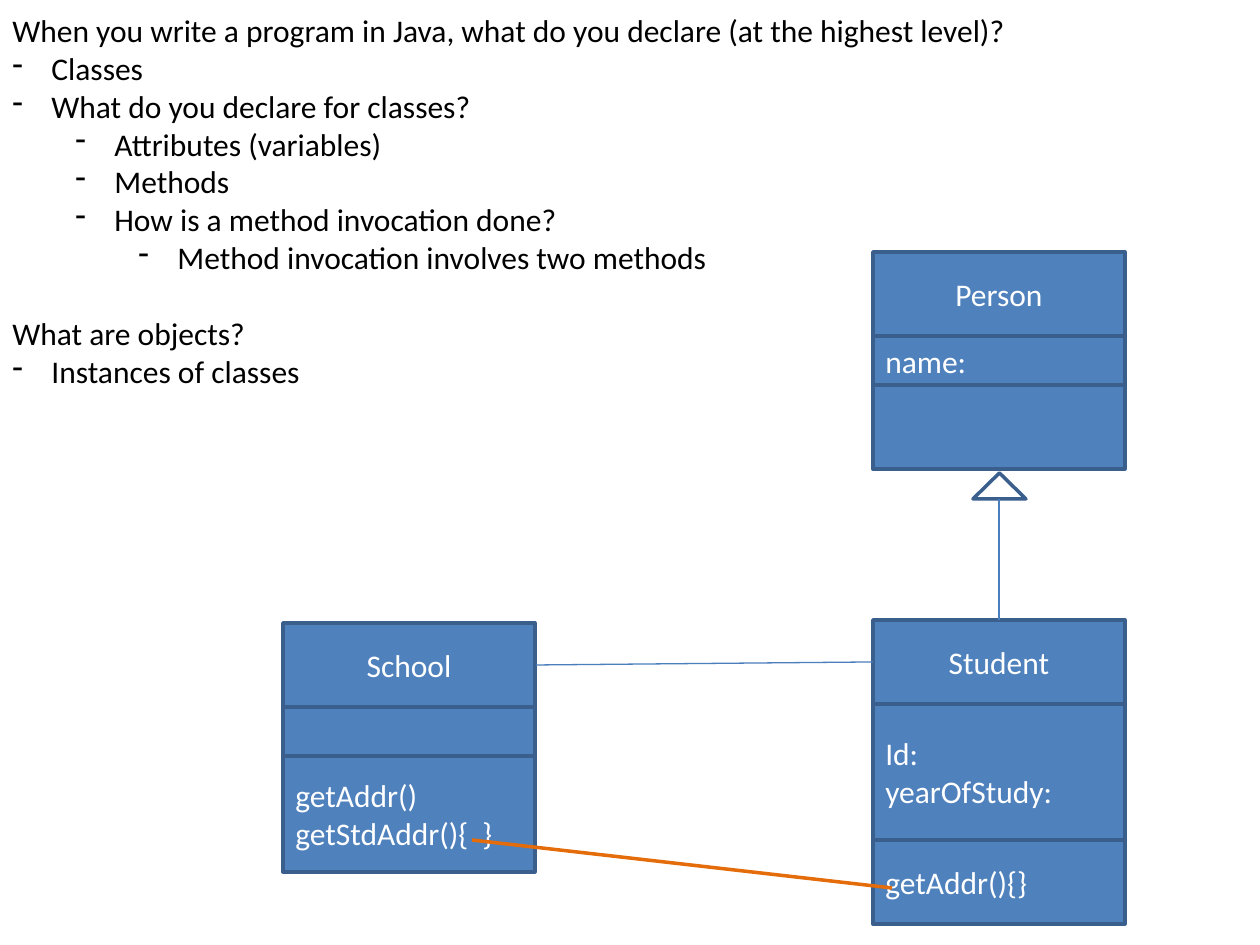
from pptx import Presentation
from pptx import util as u
from pptx.dml.color import RGBColor
from pptx.enum import shapes, text
from lxml import etree

PX = u.Inches(1) // 126
NS = "{http://schemas.openxmlformats.org/drawingml/2006/main}"
COLORS = {"ink": "000000", "paper": "FFFFFF", "box": "4F81BD",
          "border": "3A5F8C", "link": "4B7EBC", "call": "E46C0A"}


def color(name):
    return RGBColor.from_string(COLORS[name])


def write(paragraph, words, name):
    run = paragraph.add_run()
    run.text = words
    for key, value in {"size": u.Pt(18), "name": "Calibri"}.items():
        setattr(run.font, key, value)
    run.font.color.rgb = color(name)


deck = Presentation()
deck.slide_width, deck.slide_height = u.Inches(10), u.Inches(7.5)
slide = deck.slides.add_slide(deck.slide_layouts[6])

outline = [
    (None, "When you write a program in Java, what do you declare (at the highest level)?"),
    (0, "Classes"),
    (0, "What do you declare for classes?"),
    (1, "Attributes (variables)"),
    (1, "Methods"),
    (1, "How is a method invocation done? "),
    (2, "Method invocation involves two methods"),
    (None, "What are objects?"),
    (0, "Instances of classes"),
]
notes = slide.shapes.add_textbox(0, 5 * PX, 1031 * PX, 432 * PX).text_frame
notes.word_wrap = False
notes.auto_size = text.MSO_AUTO_SIZE.SHAPE_TO_FIT_TEXT
for i, (level, words) in enumerate(outline):
    line = notes.paragraphs[0] if i == 0 else notes.add_paragraph()
    write(line, words, "ink")
    if level is not None:
        line.level = level
        props = line._p.get_or_add_pPr()
        props.set("marL", str((39 + 63 * level) * PX))
        props.set("indent", str(-39 * PX))
        etree.SubElement(props, NS + "buFontTx")
        etree.SubElement(props, NS + "buChar", char="-")
    elif i:
        line.space_before = u.Pt(22)

classes = [
    (873, 252, [(84, ["Person"]), (49, ["name:"]), (84, [])]),
    (873, 620, [(84, ["Student"]), (136, ["Id:", "yearOfStudy:"]), (84, ["getAddr(){}"])]),
    (283, 623, [(84, ["School"]), (49, []), (116, ["getAddr()", "getStdAddr(){  }"])]),
]
for left, top, compartments in classes:
    for row, (height, members) in enumerate(compartments):
        compartment = slide.shapes.add_shape(
            shapes.MSO_SHAPE.RECTANGLE, left * PX, top * PX, 252 * PX, height * PX)
        compartment.shadow.inherit = False
        compartment.fill.solid()
        compartment.fill.fore_color.rgb = color("box")
        compartment.line.color.rgb = color("border")
        compartment.line.width = u.Pt(2)
        frame = compartment.text_frame
        frame.vertical_anchor = text.MSO_ANCHOR.MIDDLE
        for i, member in enumerate(members):
            line = frame.paragraphs[0] if i == 0 else frame.add_paragraph()
            line.alignment = text.PP_ALIGN.LEFT if row else text.PP_ALIGN.CENTER
            write(line, member, "paper")
        top += height

inheritance = slide.shapes.add_shape(
    shapes.MSO_SHAPE.ISOSCELES_TRIANGLE, 973 * PX, 473 * PX, 53 * PX, 26 * PX)
inheritance.shadow.inherit = False
inheritance.fill.background()
inheritance.line.color.rgb = color("border")
inheritance.line.width = u.Pt(2)

relations = [
    (999, 499, 999, 620, "link", 0.75),
    (873, 662, 536, 665, "link", 0.75),
    (892, 888, 472, 840, "call", 2),
]
for x1, y1, x2, y2, name, width in relations:
    relation = slide.shapes.add_connector(
        shapes.MSO_CONNECTOR.STRAIGHT, x1 * PX, y1 * PX, x2 * PX, y2 * PX)
    relation.line.color.rgb = color(name)
    relation.line.width = u.Pt(width)
    etree.SubElement(relation._element.spPr, NS + "effectLst")

deck.save("out.pptx")
